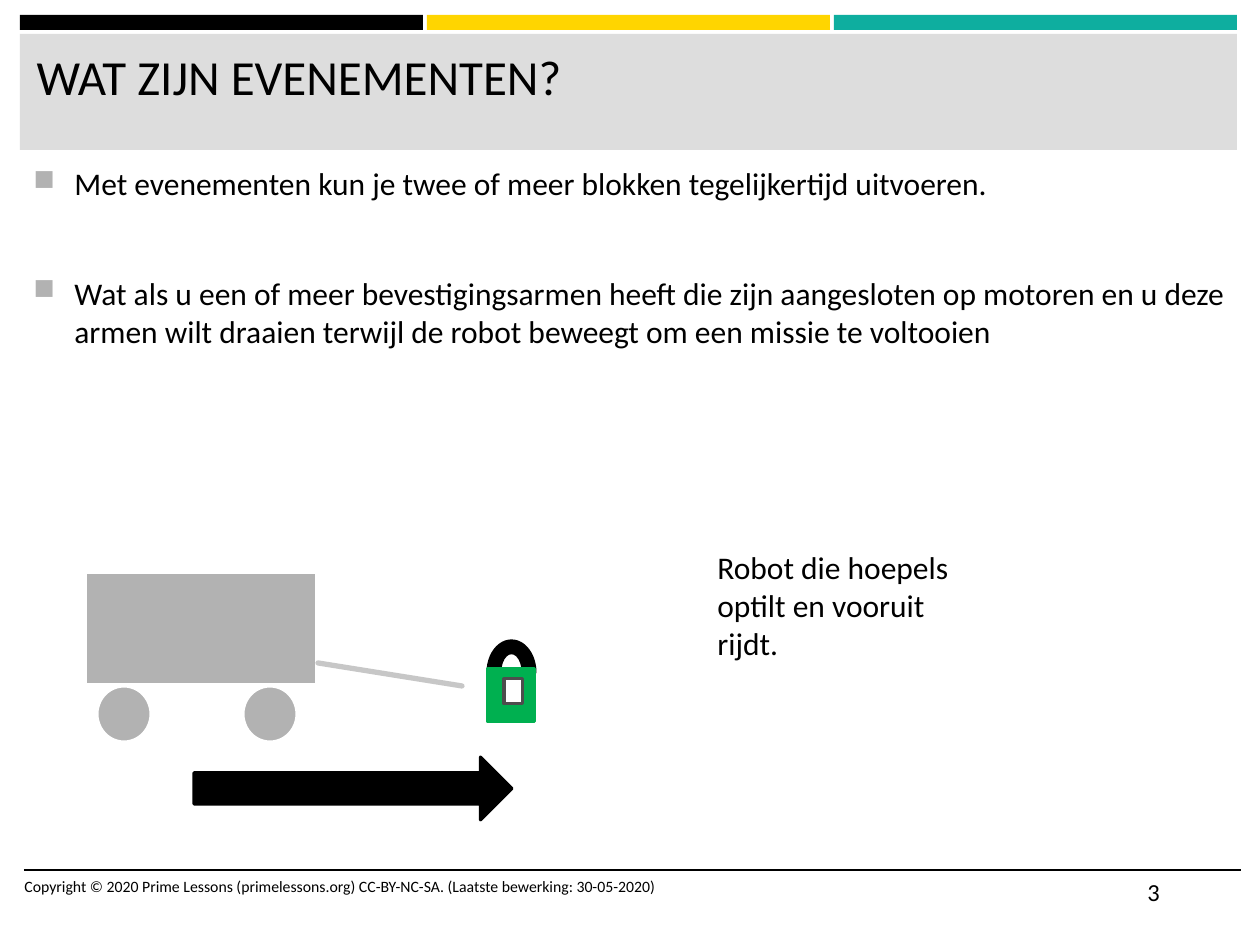
import pptx
import pptx.util
from lxml import etree
from pptx.dml.color import RGBColor
from pptx.enum.shapes import MSO_CONNECTOR, MSO_SHAPE
from pptx.enum.text import MSO_ANCHOR, PP_ALIGN
from pptx.oxml.ns import qn

PX = pptx.util.Inches(1) // 126
FONT = "Calibri"
COLORS = {
    "black": "000000", "white": "FFFFFF", "yellow": "FFD500", "teal": "0EAE9F",
    "band": "DDDDDD", "robot": "B2B2B2", "arm": "C7C7C7", "green": "00B050",
    "dark": "4D4D4D",
}

TITLE = "WAT ZIJN EVENEMENTEN?"
BULLETS = [
    "Met evenementen kun je twee of meer blokken tegelijkertijd uitvoeren.",
    "Wat als u een of meer bevestigingsarmen heeft die zijn aangesloten op motoren "
    "en u deze armen wilt draaien terwijl de robot beweegt om een missie te voltooien",
]
CAPTION = "Robot die hoepels optilt en vooruit rijdt."
COPYRIGHT = ("Copyright © 2020 Prime Lessons (primelessons.org) CC-BY-NC-SA. "
             "(Laatste bewerking: 30-05-2020)")
PAGE_NUMBER = "3"

BAR_COLORS = ["black", "yellow", "teal"]
BAR_LEFT, BAR_TOP, BAR_WIDTH, BAR_HEIGHT, BAR_STEP = 20, 15, 403, 15, 407

# preset, (left, top, width, height), fill, line
ROBOT = [
    (MSO_SHAPE.RECTANGLE, (85, 573, 232, 112), "robot", "white"),
    (MSO_SHAPE.OVAL, (97, 686, 54, 56), "robot", "white"),
    (MSO_SHAPE.OVAL, (243, 686, 54, 56), "robot", "white"),
]
LOCK = [
    (MSO_SHAPE.BLOCK_ARC, (488, 641, 47, 63), "black", "black"),
    (MSO_SHAPE.RECTANGLE, (488, 669, 47, 53), "green", "green"),
    (MSO_SHAPE.RECTANGLE, (504, 679, 19, 25), "white", "dark"),
]
ARROW = (MSO_SHAPE.RIGHT_ARROW, (194, 757, 318, 63), "black", "black")


def emu(lengths):
    return [length * PX for length in lengths]


def color(name):
    return RGBColor.from_string(COLORS[name])


def add_block(shapes, preset, box, fill, line=None):
    shape = shapes.add_shape(preset, *emu(box))
    shape.shadow.inherit = False
    shape.fill.solid()
    shape.fill.fore_color.rgb = color(fill)
    if line:
        shape.line.color.rgb = color(line)
        shape.line.width = pptx.util.Pt(1.75)
        etree.SubElement(shape._element.spPr.find(qn("a:ln")), qn("a:round"))
    else:
        shape.line.fill.background()


def add_group(slide, blocks):
    group = slide.shapes.add_group_shape()
    for block in blocks:
        add_block(group.shapes, *block)


def add_line(slide, points, line, width, cap="flat"):
    connector = slide.shapes.add_connector(MSO_CONNECTOR.STRAIGHT, *emu(points))
    connector.line.color.rgb = color(line)
    connector.line.width = pptx.util.Pt(width)
    properties = connector._element.spPr
    properties.find(qn("a:ln")).set("cap", cap)
    etree.SubElement(properties, qn("a:effectLst"))


def add_bullet(paragraph):
    properties = paragraph._p.get_or_add_pPr()
    indent = 41 * PX
    properties.set("marL", str(indent))
    properties.set("indent", str(-indent))
    bullet_color = etree.SubElement(properties, qn("a:buClr"))
    etree.SubElement(bullet_color, qn("a:srgbClr"), val=COLORS["robot"])
    etree.SubElement(properties, qn("a:buSzPct"), val="92000")
    etree.SubElement(properties, qn("a:buChar"), char="■")


def write_text(shape, texts, size, bullets=False, gap=0):
    frame = shape.text_frame
    frame.word_wrap = True
    frame.vertical_anchor = MSO_ANCHOR.TOP
    for index, text in enumerate(texts):
        paragraph = frame.add_paragraph() if index else frame.paragraphs[0]
        paragraph.text = text
        paragraph.alignment = PP_ALIGN.LEFT
        if index:
            paragraph.space_before = pptx.util.Pt(gap)
        if bullets:
            add_bullet(paragraph)
        paragraph.font.name = FONT
        paragraph.font.size = pptx.util.Pt(size)
        paragraph.font.color.rgb = color("black")


def add_text(slide, box, texts, **text_format):
    write_text(slide.shapes.add_textbox(*emu(box)), texts, **text_format)


def main():
    presentation = pptx.Presentation()
    presentation.slide_width = pptx.util.Inches(10)
    presentation.slide_height = pptx.util.Inches(7.5)
    slide = presentation.slides.add_slide(presentation.slide_layouts[5])

    for index, fill in enumerate(BAR_COLORS):
        box = (BAR_LEFT + index * BAR_STEP, BAR_TOP, BAR_WIDTH, BAR_HEIGHT)
        add_block(slide.shapes, MSO_SHAPE.RECTANGLE, box, fill)
    add_block(slide.shapes, MSO_SHAPE.RECTANGLE, (20, 34, 1217, 116), "band")
    add_line(slide, (24, 870, 1241, 870), "black", 1)

    title = slide.shapes.title
    title.left, title.top, title.width, title.height = emu((24, 40, 1206, 103))
    write_text(title, [TITLE], size=28)
    slide.shapes._spTree.append(title._element)  # in front of its band

    add_text(slide, (21, 158, 1217, 700), BULLETS, size=18, bullets=True, gap=41)
    add_text(slide, (1135, 871, 106, 50), [PAGE_NUMBER], size=14)
    add_text(slide, (705, 542, 286, 127), [CAPTION], size=18)

    add_group(slide, ROBOT)
    add_group(slide, LOCK)
    add_line(slide, (318, 663, 462, 686), "arm", 3, cap="rnd")
    add_block(slide.shapes, *ARROW)
    add_text(slide, (12, 871, 1247, 50), [COPYRIGHT], size=9)

    presentation.save("out.pptx")


if __name__ == "__main__":
    main()
